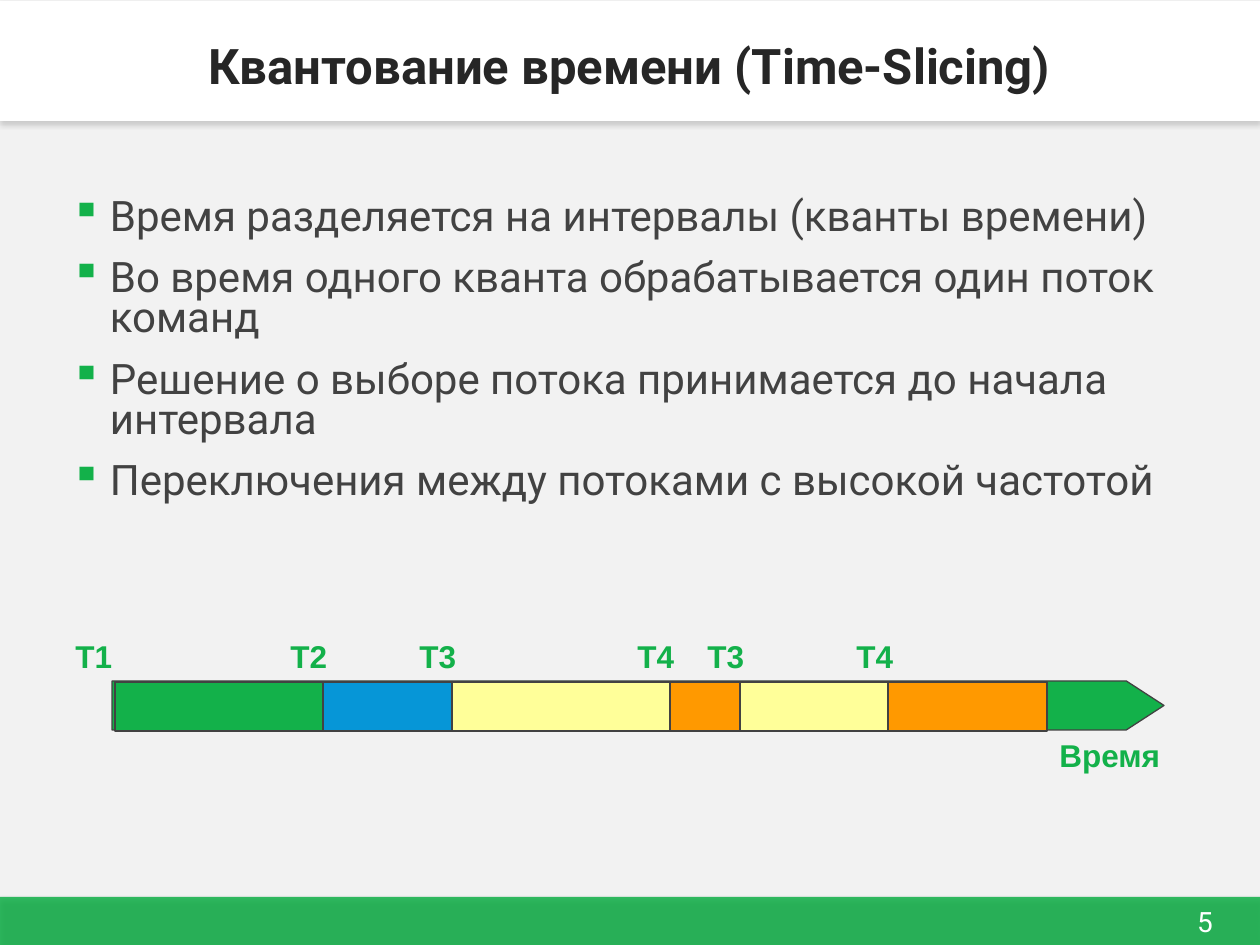
from dataclasses import dataclass

from lxml import etree
from pptx import Presentation
from pptx.dml.color import RGBColor
from pptx.enum.shapes import MSO_SHAPE
from pptx.enum.text import MSO_ANCHOR, PP_ALIGN
from pptx.oxml.ns import qn
from pptx.util import Emu, Pt

RECTANGLE = MSO_SHAPE.RECTANGLE
PENTAGON = MSO_SHAPE.PENTAGON
TOP, MIDDLE = MSO_ANCHOR.TOP, MSO_ANCHOR.MIDDLE
LEFT, CENTER = PP_ALIGN.LEFT, PP_ALIGN.CENTER
EMU_PER_PIXEL = 914400 / 126


@dataclass(frozen=True)
class Theme:
    background: str = "F2F2F2"
    white: str = "FFFFFF"
    black: str = "000000"
    gray: str = "808080"
    title: str = "262626"
    text: str = "424242"
    green: str = "13B14A"
    blue: str = "0696D7"
    yellow: str = "FFFF99"
    orange: str = "FF9900"
    font: str = "Roboto"
    label_font: str = "Arial"
    title_size: int = 28
    body_size: int = 24
    label_size: int = 18
    number_size: int = 16


THEME = Theme()

BULLETS = (
    "Время разделяется на интервалы (кванты времени)",
    "Во время одного кванта обрабатывается один поток команд",
    "Решение о выборе потока принимается до начала интервала",
    "Переключения между потоками с высокой частотой",
)

TIME_SLICES = (
    ("T1", 63, 115, THEME.green),
    ("T2", 278, 323, THEME.blue),
    ("T3", 407, 452, THEME.yellow),
    ("T4", 625, 670, THEME.orange),
    ("T3", 695, 740, THEME.yellow),
    ("T4", 844, 888, THEME.orange),
)
SLICES_END = 1047


def px(pixels):
    return Emu(round(pixels * EMU_PER_PIXEL))


def place(shape, left, top, width, height):
    shape.left, shape.top = px(left), px(top)
    shape.width, shape.height = px(width), px(height)


def write(shape, lines, size, color, font=THEME.font, bold=False, align=LEFT,
          anchor=TOP, wrap=True, inset=None, spacing=None, before=None):
    frame = shape.text_frame
    frame.word_wrap = wrap
    frame.vertical_anchor = anchor
    if inset is not None:
        frame.margin_left = frame.margin_right = px(inset)
        frame.margin_top = frame.margin_bottom = px(inset)
    frame.text = "\n".join(lines)
    for paragraph in frame.paragraphs:
        paragraph.alignment = align
        if spacing is not None:
            paragraph.line_spacing = spacing
        if before is not None:
            paragraph.space_before = Pt(before)
        text_font = paragraph.runs[0].font
        text_font.name, text_font.size, text_font.bold = font, Pt(size), bold
        text_font.color.rgb = RGBColor.from_string(color)


def add_text(slide, box, lines, **text_format):
    shape = slide.shapes.add_textbox(*map(px, box))
    write(shape, lines, **text_format)
    return shape


def add_block(slide, kind, box, fill, line=None):
    shape = slide.shapes.add_shape(kind, *map(px, box))
    shape.shadow.inherit = False
    shape.fill.solid()
    shape.fill.fore_color.rgb = RGBColor.from_string(fill)
    if line is None:
        shape.line.fill.background()
    else:
        shape.line.color.rgb = RGBColor.from_string(line)
        shape.line.width = Pt(0.75)
    return shape


def set_alpha(color_element, percent):
    etree.SubElement(color_element, qn("a:alpha"), val=str(percent * 1000))


def add_shadow(shape, color):
    effects = shape.element.spPr.find(qn("a:effectLst"))
    shadow = etree.SubElement(
        effects, qn("a:outerShdw"), blurRad=str(Pt(3.1)), dist=str(Pt(1.8)),
        dir="5400000", rotWithShape="0")
    set_alpha(etree.SubElement(shadow, qn("a:srgbClr"), val=color), 35)


def add_bullets(shape, color, margin, hanging):
    for paragraph in shape.text_frame.paragraphs:
        properties = paragraph._p.get_or_add_pPr()
        properties.set("marL", str(px(margin)))
        properties.set("indent", str(-px(hanging)))
        bullet_color = etree.SubElement(properties, qn("a:buClr"))
        etree.SubElement(bullet_color, qn("a:srgbClr"), val=color)
        etree.SubElement(properties, qn("a:buChar"), char="▪")


def add_frame(slide):
    footer = add_block(slide, RECTANGLE, (0, 897, 1260, 48), THEME.green)
    set_alpha(footer.element.spPr.find(".//" + qn("a:srgbClr")), 86)
    add_shadow(footer, THEME.black)
    header = add_block(slide, RECTANGLE, (0, 1, 1260, 120), THEME.white)
    add_shadow(header, THEME.gray)
    add_text(slide, (1162, 898, 86, 47), ["5"], size=THEME.number_size,
             color=THEME.white, align=CENTER, anchor=MIDDLE)
    title = slide.shapes.title
    place(title, -1, 4, 1260, 121)
    write(title, ["Квантование времени (Time-Slicing)"], size=THEME.title_size,
          color=THEME.title, bold=True, align=CENTER, anchor=MIDDLE)
    title.element.addprevious(footer.element)
    title.element.addprevious(header.element)


def add_timeline(slide):
    label_format = dict(size=THEME.label_size, color=THEME.green,
                        font=THEME.label_font, bold=True, wrap=False)
    arrow = add_block(slide, PENTAGON, (112, 681, 1052, 49), THEME.green, THEME.text)
    arrow.adjustments[0] = 0.77
    add_text(slide, (1047, 730, 127, 50), ["Время"], **label_format)
    ends = [start for _, _, start, _ in TIME_SLICES[1:]] + [SLICES_END]
    for (name, label_left, start, color), end in zip(TIME_SLICES, ends):
        add_block(slide, RECTANGLE, (start, 682, end - start, 49), color, THEME.text)
        add_text(slide, (label_left, 631, 62, 50), [name], **label_format)


def main():
    presentation = Presentation()
    presentation.slide_width, presentation.slide_height = px(1260), px(945)
    slide = presentation.slides.add_slide(presentation.slide_layouts[5])
    slide.background.fill.solid()
    slide.background.fill.fore_color.rgb = RGBColor.from_string(THEME.background)
    add_frame(slide)
    body = add_text(slide, (63, 199, 1134, 656), BULLETS, size=THEME.body_size,
                    color=THEME.text, inset=0, spacing=0.8, before=12)
    add_bullets(body, THEME.green, margin=47, hanging=39)
    add_timeline(slide)
    presentation.save("out.pptx")


main()
